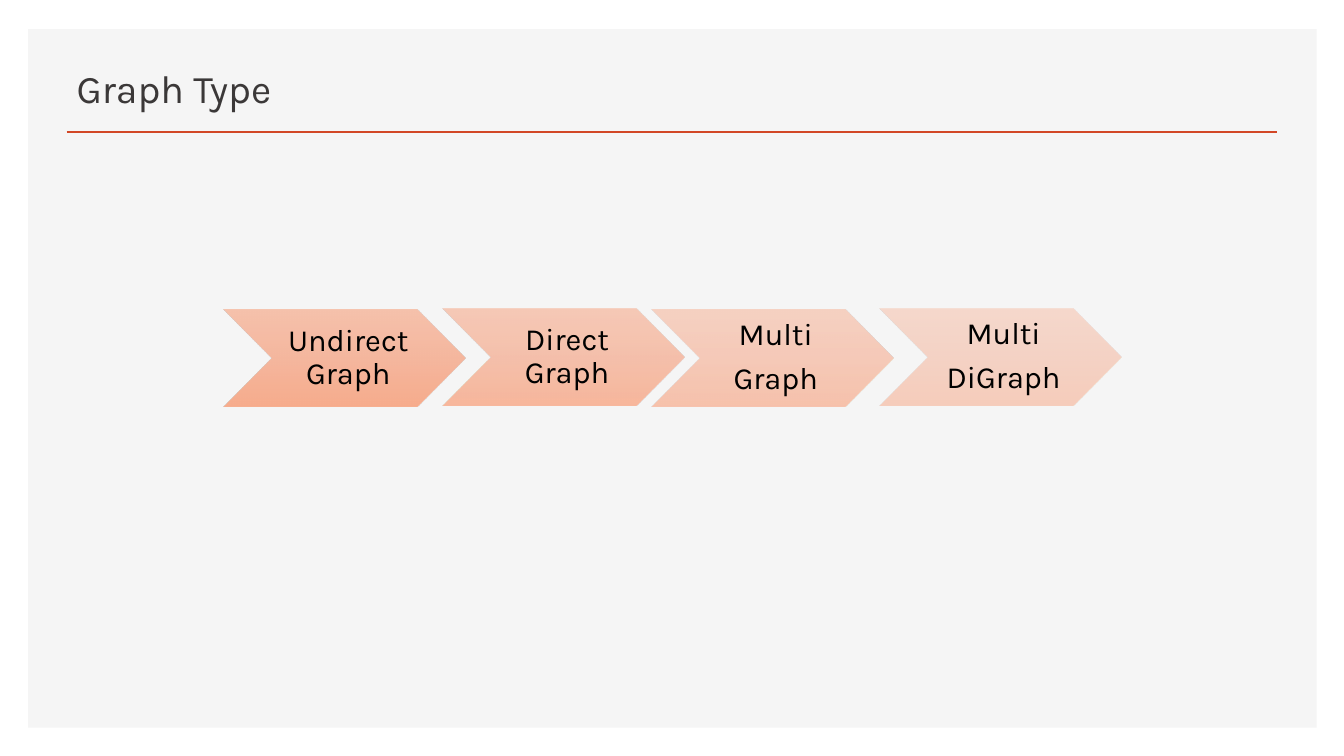
"""Build the "Graph Type" slide: a titled panel with a row of four chevrons."""
from pptx import Presentation
from pptx.dml.color import RGBColor
from pptx.enum.shapes import MSO_CONNECTOR as Connector, MSO_SHAPE as Shape
from pptx.enum.text import MSO_ANCHOR as Anchor, MSO_AUTO_SIZE as AutoSize, PP_ALIGN as Align
from pptx.oxml import parse_xml
from pptx.oxml.ns import nsdecls, qn
from pptx.util import Inches, Pt

TITLE = "Graph Type"
STEPS = [
    {"lines": ["Undirect Graph"], "left": 2.22, "top": 3.07, "opacity": 90},
    {"lines": ["Direct Graph"], "left": 4.39, "top": 3.06, "opacity": 77},
    {"lines": ["Multi", "Graph"], "left": 6.46, "top": 3.07, "opacity": 63},
    {"lines": ["Multi", "DiGraph"], "left": 8.72, "top": 3.06, "opacity": 50},
]
COLORS = {"panel": "F5F5F5", "rule": "D24726", "title": "3B3838", "label": "000000"}
GRADIENT = {0: "F7BDA5", 50: "F5B196", 100: "F8A582"}
FONT = "Karla"
WIDTH, HEIGHT = 13.33, 7.5
MARGIN, RULE_TOP = 0.66, 1.31
CHEVRON = (2.4, 0.96)
TITLE_FRAME = {"word_wrap": True, "auto_size": AutoSize.NONE, "vertical_anchor": Anchor.MIDDLE}
LABEL_FRAME = TITLE_FRAME | {
    "margin_left": Inches(0.1), "margin_top": Inches(0.03),
    "margin_right": Inches(0.03), "margin_bottom": Inches(0.03),
}
TITLE_PARA = {"alignment": Align.LEFT, "line_spacing": 0.9}
LABEL_PARA = {"alignment": Align.CENTER, "line_spacing": 0.9, "space_after": Pt(7.7)}


def apply(target, values):
    for name, value in values.items():
        setattr(target, name, value)


def color(name):
    return RGBColor.from_string(COLORS[name])


def write(shape, lines, frame_values, para_values, size, tone):
    frame = shape.text_frame
    apply(frame, frame_values)
    for index, line in enumerate(lines):
        para = frame.add_paragraph() if index else frame.paragraphs[0]
        apply(para, para_values)
        span = para.add_run()
        span.text = line
        apply(span.font, {"name": FONT, "size": Pt(size)})
        span.font.color.rgb = color(tone)


def add_plain(page, kind, left, top, width, height):
    shape = page.shapes.add_shape(kind, *map(Inches, (left, top, width, height)))
    shape.shadow.inherit = False
    shape.line.fill.background()
    return shape


def add_panel(page):
    panel = add_plain(page, Shape.RECTANGLE, 0.28, 0.29, 12.78, 6.93)
    panel.fill.solid()
    panel.fill.fore_color.rgb = color("panel")
    page.shapes.element.insert(2, panel.element)


def add_rule(page):
    ends = (MARGIN, RULE_TOP, WIDTH - MARGIN, RULE_TOP)
    rule = page.shapes.add_connector(Connector.STRAIGHT, *map(Inches, ends))
    rule.line.width = Pt(2)
    rule.line.color.rgb = color("rule")
    rule.element.spPr.append(parse_xml(f"<a:effectLst {nsdecls('a')}/>"))


def add_step(page, step):
    chevron = add_plain(page, Shape.CHEVRON, step["left"], step["top"], *CHEVRON)
    stops = "".join(
        f'<a:gs pos="{place * 1000}"><a:srgbClr val="{tone}">'
        f'<a:alpha val="{step["opacity"] * 1000}"/></a:srgbClr></a:gs>'
        for place, tone in GRADIENT.items()
    )
    gradient = parse_xml(
        f'<a:gradFill {nsdecls("a")} rotWithShape="1"><a:gsLst>{stops}</a:gsLst>'
        '<a:lin ang="5400000" scaled="0"/></a:gradFill>'
    )
    chevron.element.spPr.find(qn("a:prstGeom")).addnext(gradient)
    write(chevron, step["lines"], LABEL_FRAME, LABEL_PARA, 22, "label")


def main():
    deck = Presentation()
    apply(deck, {"slide_width": Inches(WIDTH), "slide_height": Inches(HEIGHT)})
    page = deck.slides.add_slide(deck.slide_layouts[5])
    add_panel(page)
    add_rule(page)
    title = page.shapes.title
    apply(title, {"left": Inches(MARGIN), "top": Inches(0.49),
                  "width": Inches(WIDTH - 2 * MARGIN), "height": Inches(0.82)})
    write(title, [TITLE], TITLE_FRAME, TITLE_PARA, 28, "title")
    for step in STEPS:
        add_step(page, step)
    deck.save("out.pptx")


if __name__ == "__main__":
    main()
